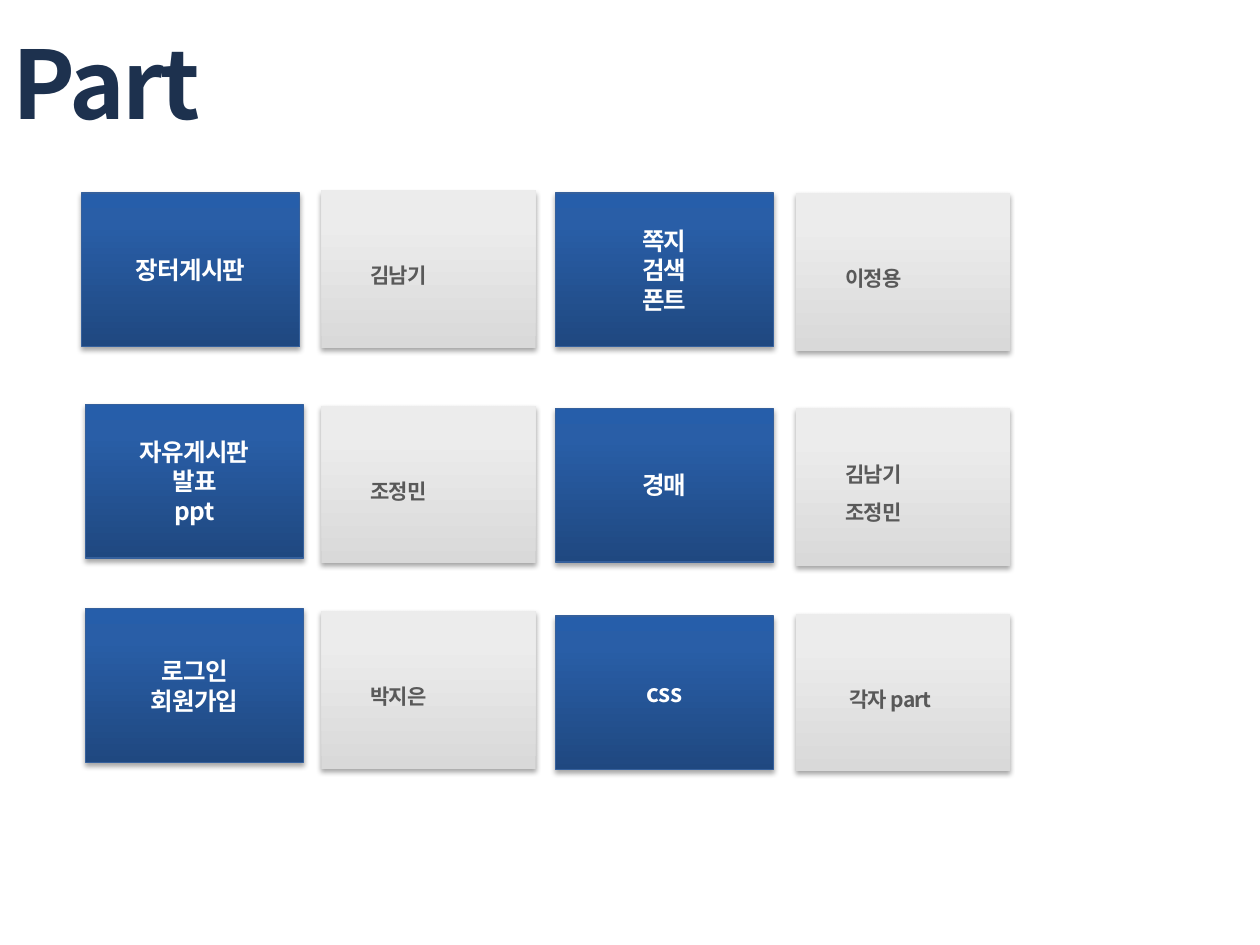
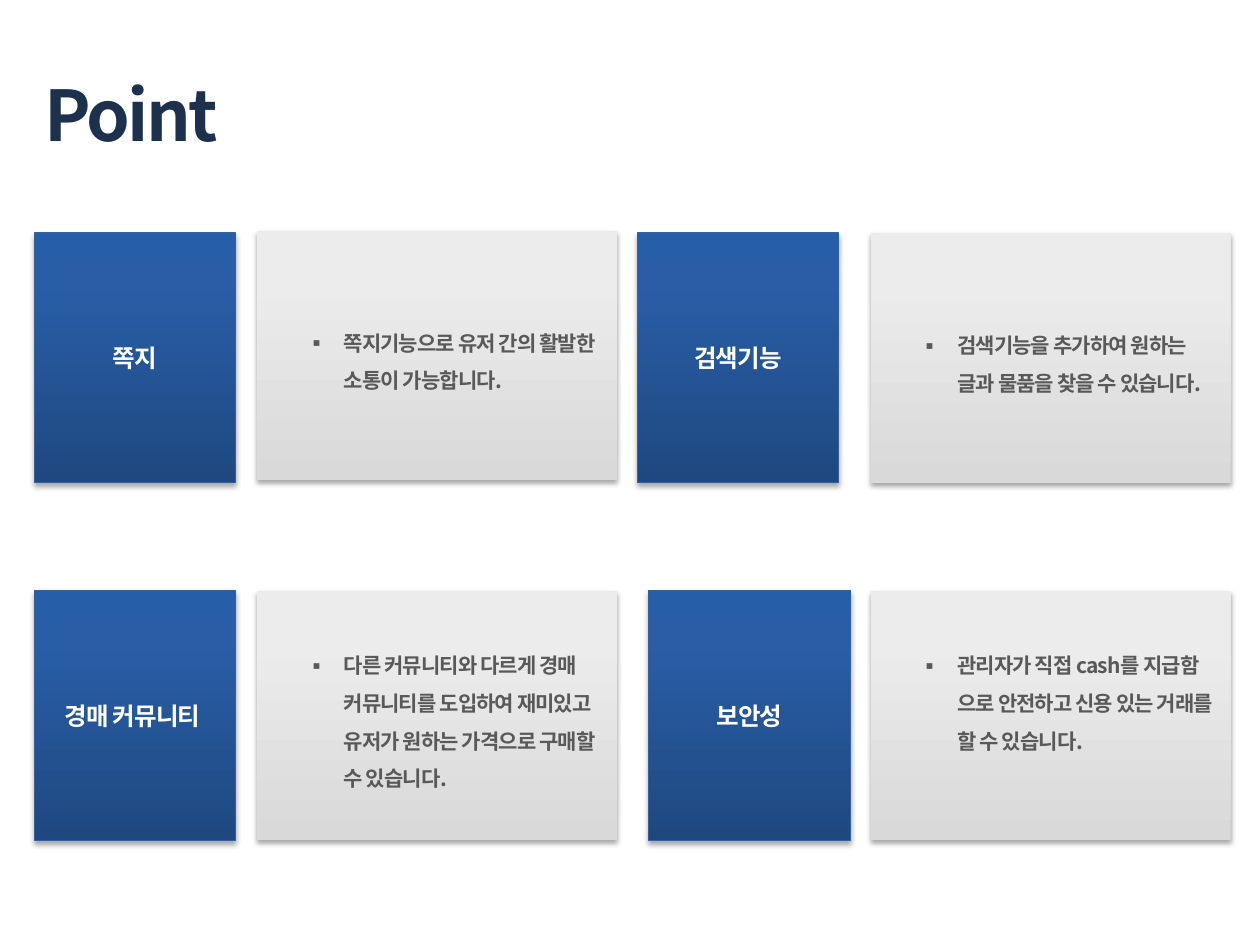
from dataclasses import dataclass

from lxml import etree
from pptx import Presentation
from pptx.dml.color import RGBColor
from pptx.enum.shapes import MSO_SHAPE
from pptx.enum.text import MSO_ANCHOR, MSO_AUTO_SIZE, PP_ALIGN
from pptx.oxml.ns import qn
from pptx.util import Cm, Pt

RECTANGLE = MSO_SHAPE.RECTANGLE
MIDDLE = MSO_ANCHOR.MIDDLE
NO_FIT = MSO_AUTO_SIZE.NONE
LEFT, CENTER = PP_ALIGN.LEFT, PP_ALIGN.CENTER
DRAWING_NS = "http://schemas.openxmlformats.org/drawingml/2006/main"


@dataclass(frozen=True)
class Theme:
    font: str = "Noto Sans CJK KR"
    title: str = "1D314E"
    topic_text: str = "FFFFFF"
    detail_text: str = "595959"
    topic_line: str = "35609C"
    topic_fill: tuple = ((0, "1F4880"), (80, "295EA7"), (100, "265EAA"))
    detail_fill: tuple = ((0, "D9D9D9"), (80, "ECECEC"))
    topic_size: int = 14
    detail_size: int = 12
    tracking: float = -0.5
    title_tracking: float = -1.5


@dataclass(frozen=True)
class Card:
    left: float
    top: float
    lines: tuple
    lift: float = 0


THEME = Theme()

PART = {
    "title": "Part",
    "title_size": 54,
    "title_box": (0, 0.38, 23.27, 2.54),
    "topic_box": (4.39, 3.1),
    "detail_box": (4.32, 3.18),
    "detail_indent": (0.74, 0),
    "bullet": None,
    "topics": [
        Card(1.65, 3.89, ("장터게시판",)),
        Card(1.73, 8.15, ("자유게시판", "발표", "ppt")),
        Card(1.73, 12.27, ("로그인", "회원가입")),
        Card(11.2, 3.89, ("쪽지", "검색", "폰트")),
        Card(11.2, 8.23, ("경매",)),
        Card(11.2, 12.42, ("css",)),
    ],
    "details": [
        Card(6.48, 3.84, ("김남기",)),
        Card(6.48, 8.18, ("조정민",)),
        Card(6.48, 12.32, ("박지은",)),
        Card(16.05, 3.89, ("이정용",)),
        Card(16.05, 8.23, ("김남기", "조정민")),
        Card(16.05, 12.37, (" 각자 part",)),
    ],
}

POINT = {
    "title": "Point",
    "title_size": 40,
    "title_box": (0.64, 1.04, 23.65, 2.49),
    "topic_box": (4.06, 5.03),
    "detail_box": (7.26, 5.03),
    "detail_indent": (1.5, -0.76),
    "bullet": "▪",
    "topics": [
        Card(0.69, 4.7, ("쪽지",)),
        Card(0.69, 11.91, ("경매 커뮤니티 ",)),
        Card(12.85, 4.7, ("검색기능",)),
        Card(13.08, 11.91, ("보안성",)),
    ],
    "details": [
        Card(5.18, 4.65, ("쪽지기능으로 유저 간의 활발한 소통이 가능합니다.",)),
        Card(5.18, 11.91, (
            "다른 커뮤니티와 다르게 경매 커뮤니티를 도입하여 재미있고 "
            "유저가 원하는 가격으로 구매할 수 있습니다.",)),
        Card(17.55, 4.7, ("검색기능을 추가하여 원하는 글과 물품을 찾을 수 있습니다.",)),
        Card(17.55, 11.91, (
            "관리자가 직접 cash를 지급함 으로 안전하고 신용 있는 거래를 "
            "할 수 있습니다.",), lift=0.76),
    ],
}


def add_xml(parent, tag, **attributes):
    return etree.SubElement(parent, qn(tag), attributes)


def write_text(frame, lines, *, size, color, align=LEFT, tracking=THEME.tracking,
               spacing=None, indent=None, bullet=None):
    frame.word_wrap = True
    frame.auto_size = NO_FIT
    frame.vertical_anchor = MIDDLE
    for index, line in enumerate(lines):
        paragraph = frame.add_paragraph() if index else frame.paragraphs[0]
        paragraph.alignment = align
        if spacing:
            paragraph.line_spacing = spacing
        properties = paragraph._p.get_or_add_pPr()
        if indent:
            margin, first_line = indent
            properties.set("marL", str(Cm(margin)))
            properties.set("indent", str(Cm(first_line)))
        if bullet:
            add_xml(properties, "a:buFont", typeface=THEME.font)
            add_xml(properties, "a:buChar", char=bullet)
        run = paragraph.add_run()
        run.text = line
        run.font.size = Pt(size)
        run.font.bold = True
        run.font.color.rgb = RGBColor.from_string(color)
        run.font.name = THEME.font
        run_properties = run._r.get_or_add_rPr()
        run_properties.set("spc", str(int(tracking * 100)))
        add_xml(run_properties, "a:ea", typeface=THEME.font)


def fill_upward(shape, stops):
    gradient = add_xml(shape._element.spPr, "a:gradFill", rotWithShape="1")
    stop_list = add_xml(gradient, "a:gsLst")
    for position, color in stops:
        stop = add_xml(stop_list, "a:gs", pos=str(position * 1000))
        add_xml(stop, "a:srgbClr", val=color)
    add_xml(gradient, "a:lin", ang="16200000", scaled="0")


def cast_shadow(shape):
    effects = add_xml(shape._element.spPr, "a:effectLst")
    shadow = add_xml(effects, "a:outerShdw", blurRad=str(Pt(3.1)), dist=str(Pt(1.8)),
                     dir="5400000", rotWithShape="0")
    color = add_xml(shadow, "a:srgbClr", val="000000")
    add_xml(color, "a:alpha", val="35000")


def add_card(slide, card, box, stops, line=None, **text_format):
    shape = slide.shapes.add_shape(RECTANGLE, *map(Cm, (card.left, card.top, *box)))
    fill_upward(shape, stops)
    if line:
        shape.line.color.rgb = RGBColor.from_string(line)
        shape.line.width = Pt(0.75)
    else:
        shape.line.fill.background()
    cast_shadow(shape)
    if card.lift:
        shape.text_frame.margin_bottom += Cm(card.lift)
    write_text(shape.text_frame, card.lines, **text_format)


def add_card_slide(deck, content):
    slide = deck.slides.add_slide(deck.slide_layouts.get_by_name("Title Only"))
    title = slide.shapes.title
    title.left, title.top, title.width, title.height = map(Cm, content["title_box"])
    write_text(title.text_frame, [content["title"]], size=content["title_size"],
               color=THEME.title, tracking=THEME.title_tracking)
    for topic in content["topics"]:
        add_card(slide, topic, content["topic_box"], THEME.topic_fill, THEME.topic_line,
                 size=THEME.topic_size, color=THEME.topic_text, align=CENTER)
    for detail in content["details"]:
        add_card(slide, detail, content["detail_box"], THEME.detail_fill,
                 size=THEME.detail_size, color=THEME.detail_text, spacing=1.5,
                 indent=content["detail_indent"], bullet=content["bullet"])


def main():
    deck = Presentation()
    deck.slide_width, deck.slide_height = Cm(25.4), Cm(19.05)
    for content in (PART, POINT):
        add_card_slide(deck, content)
    deck.save("out.pptx")


if __name__ == "__main__":
    main()
